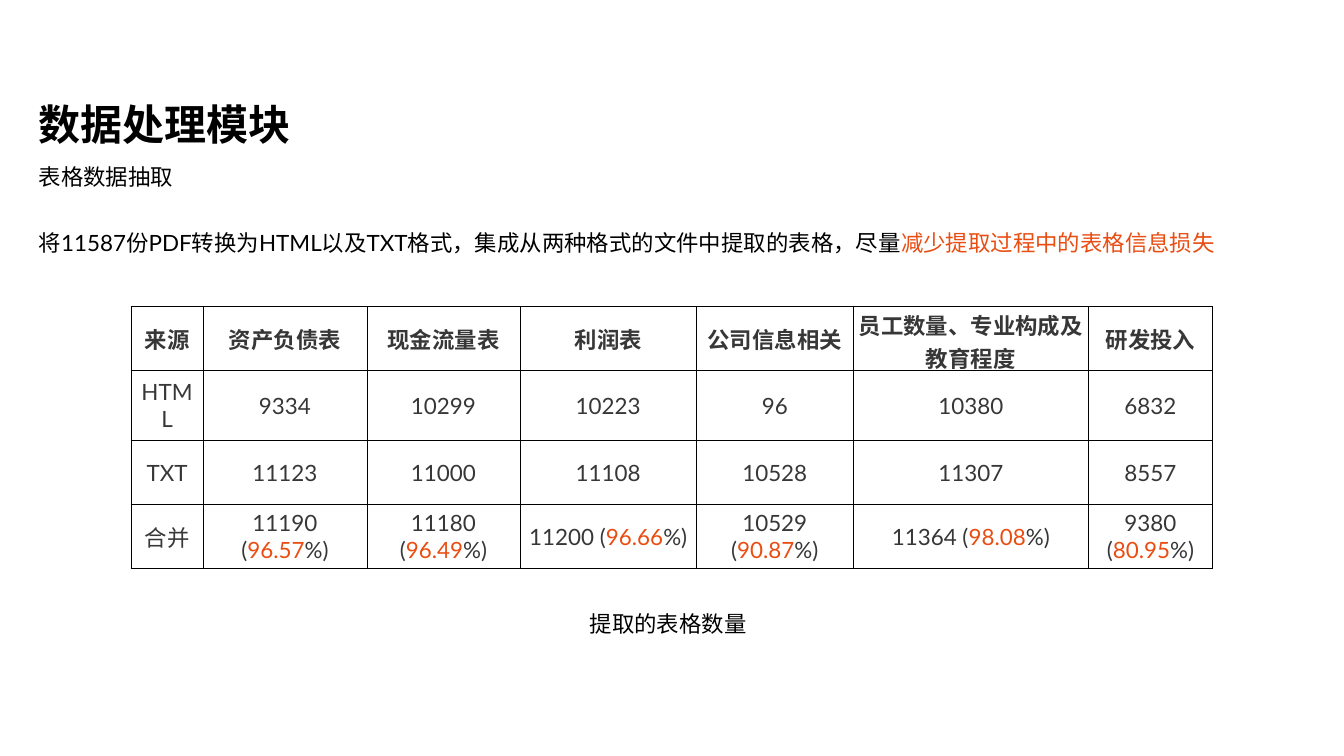
"""Build the data processing slide with its table of extraction counts."""
from dataclasses import dataclass

import lxml.etree
import pptx
import pptx.dml.color
import pptx.enum.text
import pptx.oxml.ns
import pptx.util

Inches = pptx.util.Inches
Pt = pptx.util.Pt
RGBColor = pptx.dml.color.RGBColor
PP_ALIGN = pptx.enum.text.PP_ALIGN
MSO_ANCHOR = pptx.enum.text.MSO_ANCHOR
MSO_AUTO_SIZE = pptx.enum.text.MSO_AUTO_SIZE

BLACK = RGBColor(0x00, 0x00, 0x00)
GRAY = RGBColor(0x37, 0x37, 0x37)
ORANGE = RGBColor(0xE9, 0x4D, 0x12)
TABLE_ORANGE = RGBColor(0xEA, 0x4D, 0x12)

COLUMN_WIDTHS = (1.43, 3.25, 3.04, 3.5, 3.11, 4.67, 2.46)
ROW_HEIGHTS = (1.27, 1.39, 1.27, 1.27)
HEADERS = ("来源", "资产负债表", "现金流量表", "利润表", "公司信息相关",
           "员工数量、专业构成及\n教育程度", "研发投入")
COUNTS = (
    ("HTML", "9334", "10299", "10223", "96", "10380", "6832"),
    ("TXT", "11123", "11000", "11108", "10528", "11307", "8557"),
)
MERGED = (("11190", "96.57"), ("11180", "96.49"), ("11200", "96.66"),
          ("10529", "90.87"), ("11364", "98.08"), ("9380", "80.95"))


@dataclass(frozen=True)
class Span:
    text: str
    color: RGBColor = BLACK
    size: float = 32
    bold: bool = False
    font: str = "Lato"


@dataclass(frozen=True)
class TextBlock:
    left: float
    top: float
    width: float
    height: float
    spans: tuple[Span, ...]
    line_spacing: float = 1.0


TITLE = TextBlock(0.71, 1.9, 7.45, 1.12, (Span("数据处理模块", size=60, bold=True),))
BODY_BLOCKS = (
    TextBlock(0.71, 3.18, 3.54, 0.65, (Span("表格数据抽取"),)),
    TextBlock(0.71, 4.22, 23.85, 0.92, (
        Span("将11587份PDF转换为HTML以及TXT格式，集成从两种格式的文件中提取的表格，尽量"),
        Span("减少提取过程中的表格信息损失", ORANGE)), 1.5),
    TextBlock(11.64, 11.77, 3.31, 0.92, (Span("提取的表格数量"),), 1.5),
)


def write_spans(paragraph, spans: tuple[Span, ...]) -> None:
    for span in spans:
        run = paragraph.add_run()
        run.text = span.text
        run.font.name = span.font
        run.font.size = Pt(span.size)
        run.font.bold = span.bold
        run.font.color.rgb = span.color


def fill_block(box, block: TextBlock) -> None:
    box.left, box.top = Inches(block.left), Inches(block.top)
    box.width, box.height = Inches(block.width), Inches(block.height)
    frame = box.text_frame
    frame.word_wrap = True
    frame.auto_size = MSO_AUTO_SIZE.SHAPE_TO_FIT_TEXT
    frame.vertical_anchor = MSO_ANCHOR.MIDDLE
    frame.margin_left = frame.margin_right = Inches(0.06)
    frame.margin_top = frame.margin_bottom = Inches(0.06)
    paragraph = frame.paragraphs[0]
    paragraph.alignment = PP_ALIGN.LEFT
    paragraph.line_spacing = block.line_spacing
    write_spans(paragraph, block.spans)


def add_borders(cell) -> None:
    qn = pptx.oxml.ns.qn
    properties = cell._tc.get_or_add_tcPr()
    for position, side in enumerate(("a:lnL", "a:lnR", "a:lnT", "a:lnB")):
        line = lxml.etree.Element(qn(side), w=str(Pt(1)))
        fill = lxml.etree.SubElement(line, qn("a:solidFill"))
        lxml.etree.SubElement(fill, qn("a:srgbClr"), val=str(BLACK))
        properties.insert(position, line)


def fill_cell(cell, lines: list[tuple[Span, ...]]) -> None:
    cell.fill.background()
    add_borders(cell)
    cell.vertical_anchor = MSO_ANCHOR.MIDDLE
    frame = cell.text_frame
    for index, spans in enumerate(lines):
        paragraph = frame.add_paragraph() if index else frame.paragraphs[0]
        paragraph.alignment = PP_ALIGN.CENTER
        write_spans(paragraph, spans)


def header_lines(text: str) -> list[tuple[Span, ...]]:
    font = "Arial" if text == "资产负债表" else "Lato"
    return [(Span(line, GRAY, bold=True, font=font),) for line in text.split("\n")]


def merged_lines(count: str, percent: str) -> list[tuple[Span, ...]]:
    return [(Span(f"{count} (", GRAY), Span(percent, TABLE_ORANGE), Span("%)", GRAY))]


def add_count_table(page) -> None:
    table = page.shapes.add_table(
        len(ROW_HEIGHTS), len(COLUMN_WIDTHS), Inches(2.6), Inches(6.08),
        Inches(sum(COLUMN_WIDTHS)), Inches(sum(ROW_HEIGHTS))).table
    table.first_row = table.horz_banding = False
    for column, width in zip(table.columns, COLUMN_WIDTHS):
        column.width = Inches(width)
    for row, height in zip(table.rows, ROW_HEIGHTS):
        row.height = Inches(height)
    rows = [[header_lines(text) for text in HEADERS]]
    rows += [[[(Span(text, GRAY),)] for text in counts] for counts in COUNTS]
    rows.append([[(Span("合并", GRAY),)]] + [merged_lines(*pair) for pair in MERGED])
    for row, contents in zip(table.rows, rows):
        for cell, lines in zip(row.cells, contents):
            fill_cell(cell, lines)


def main() -> None:
    deck = pptx.Presentation()
    deck.slide_width, deck.slide_height = Inches(26.67), Inches(15)
    page = deck.slides.add_slide(deck.slide_layouts[5])
    fill_block(page.shapes.title, TITLE)
    add_count_table(page)
    for block in BODY_BLOCKS:
        box = page.shapes.add_textbox(0, 0, 0, 0)
        fill_block(box, block)
    deck.save("out.pptx")


if __name__ == "__main__":
    main()
